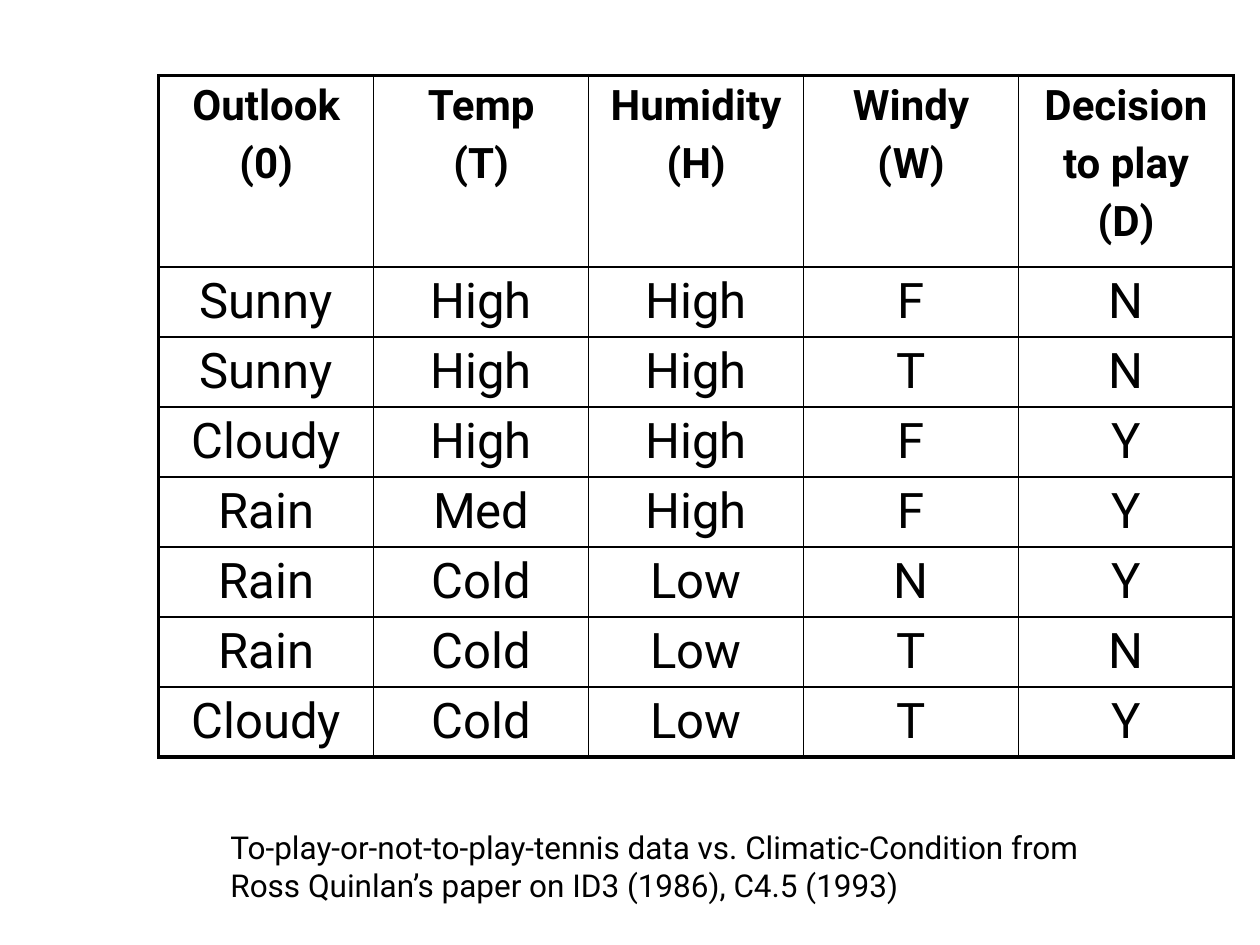
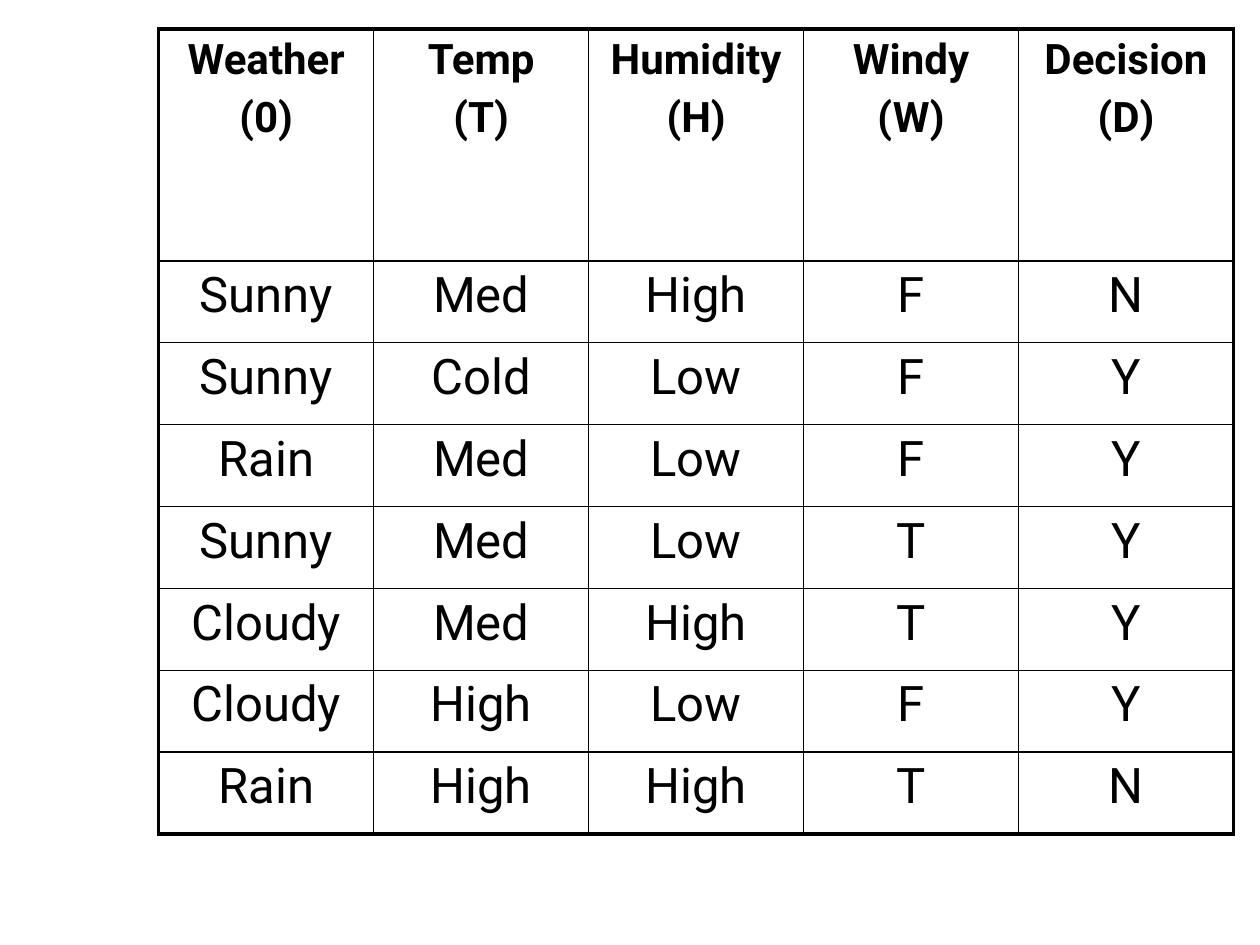
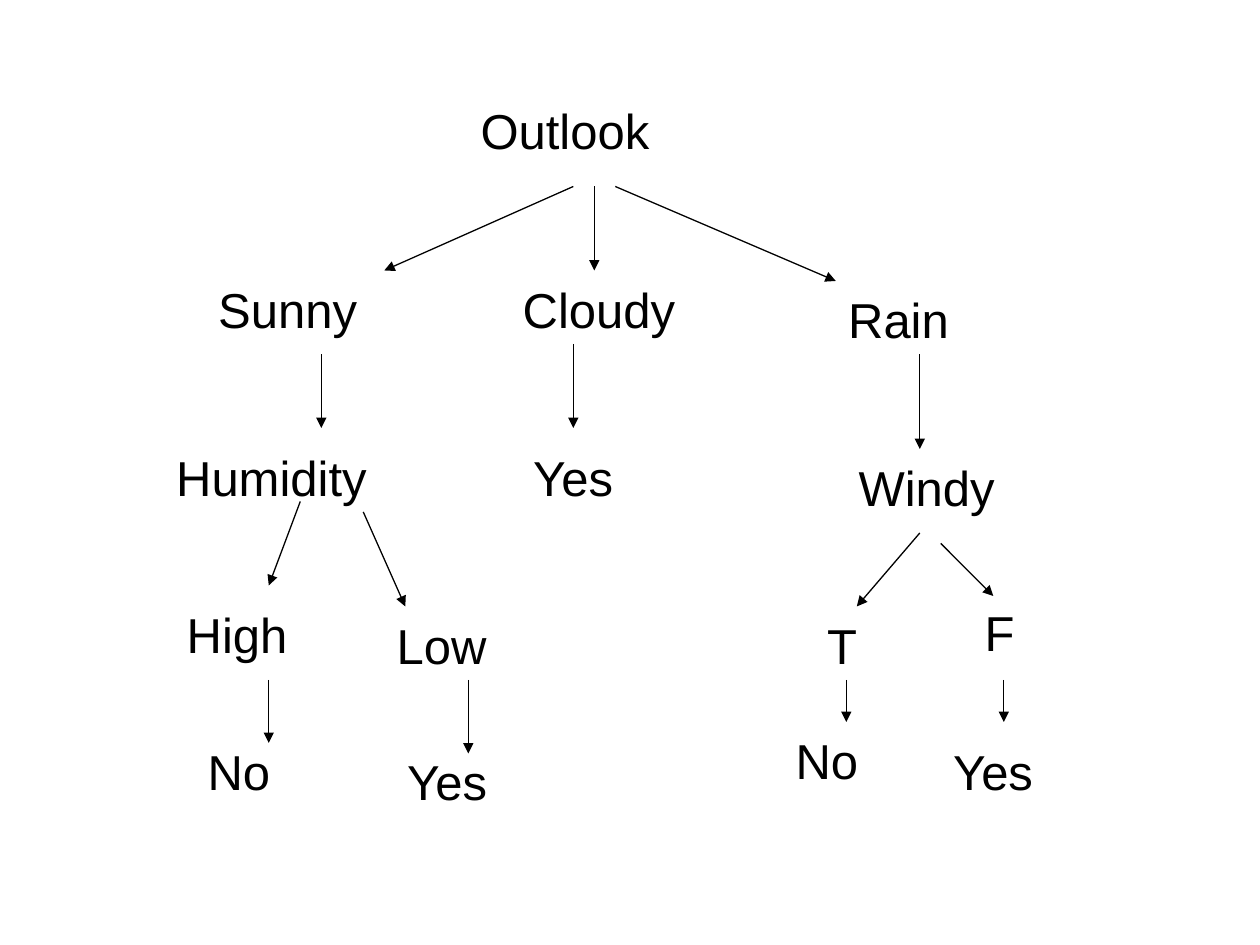
from typing import NamedTuple

from lxml import etree
from pptx import Presentation
from pptx import util as u
from pptx.dml.color import RGBColor
from pptx.enum import shapes, text
from pptx.oxml import ns

COLORS = {"ink": "000000", "paper": "FFFFFF"}
TABLE_FONT, TREE_FONT = "Roboto", "Arial"
WIDTH, HEIGHT = u.Inches(10), u.Inches(7.5)
THIN, THICK = 1, 2.25

# The decision tree stands on a grid of twelve steps to the inch.
STEP = u.Inches(1) // 12
TREE_LEFT = u.Inches(0.05)
ARROW_RISE = u.Inches(0.02)


class WeatherTable(NamedTuple):
    top: float  # inches
    header_height: float
    row_height: float
    header: list[str]
    rows: list[str]


class Node(NamedTuple):
    label: str
    col: float
    row: float
    width: float  # inches
    wrap: bool = False


class Arrow(NamedTuple):
    col: int
    row: int
    end_col: int
    end_row: int


TABLES = [
    WeatherTable(
        0.6, 1.52, 0.54,
        ["Outlook\n(0)", "Temp\n(T)", "Humidity\n(H)", "Windy\n(W)",
         "Decision\nto play\n(D)"],
        ["Sunny High High F N", "Sunny High High T N", "Cloudy High High F Y",
         "Rain Med High F Y", "Rain Cold Low N Y", "Rain Cold Low T N",
         "Cloudy Cold Low T Y"]),
    WeatherTable(
        0.23, 1.84, 0.65,
        ["Weather\n(0)", "Temp\n(T)", "Humidity\n(H)", "Windy\n(W)",
         "Decision\n(D)"],
        ["Sunny Med High F N", "Sunny Cold Low F Y", "Rain Med Low F Y",
         "Sunny Med Low T Y", "Cloudy Med High T Y", "Cloudy High Low F Y",
         "Rain High High T N"]),
]

CAPTION = ("To-play-or-not-to-play-tennis data vs. Climatic-Condition from\n"
           "Ross Quinlan’s paper on ID3 (1986), C4.5 (1993)")

NODES = [
    Node("Outlook", 44, 9, 1.54),
    Node("Rain", 79, 27, 1),
    Node("Cloudy", 48, 26, 1.41),
    Node("Sunny", 19, 26, 1.31),
    Node("Windy", 80, 43, 1.28),
    Node("Yes", 49, 42, 1.2, wrap=True),
    Node("Humidity", 15, 42, 1.72),
    Node("High", 16, 57, 1),
    Node("Low", 36, 58, 0.92),
    Node("Yes", 37, 71, 0.87),
    Node("No", 18, 70, 0.7),
    Node("T", 77, 58, 0.44),
    Node("F", 92, 56.8, 0.51, wrap=True),
    Node("Yes", 89, 70, 0.87),
    Node("No", 74, 69, 0.7),
]

ARROWS = [
    Arrow(54, 18, 36, 26), Arrow(56, 18, 56, 26), Arrow(58, 18, 79, 27),
    Arrow(30, 34, 30, 41), Arrow(54, 33, 54, 41), Arrow(87, 34, 87, 43),
    Arrow(28, 48, 25, 56), Arrow(34, 49, 38, 58),
    Arrow(25, 65, 25, 71), Arrow(44, 65, 44, 72),
    Arrow(87, 51, 81, 58), Arrow(89, 52, 94, 57),
    Arrow(80, 65, 80, 69), Arrow(95, 65, 95, 69),
]


def rgb(name: str) -> RGBColor:
    return RGBColor.from_string(COLORS[name])


def write(tf, content: str, *, font: str, size: float, bold: bool = False,
          align=None, space_before: int = 0) -> None:
    """Fill a text frame, one paragraph a line; space_before is in percent."""
    for i, line in enumerate(content.split("\n")):
        p = tf.paragraphs[0] if i == 0 else tf.add_paragraph()
        if align is not None:
            p.alignment = align
        if space_before:
            before = etree.SubElement(p._p.get_or_add_pPr(), ns.qn("a:spcBef"))
            etree.SubElement(before, ns.qn("a:spcPct"), val=str(space_before * 1000))
        r = p.add_run()
        r.text = line
        r.font.name, r.font.size, r.font.bold = font, u.Pt(size), bold
        r.font.color.rgb = rgb("ink")


def add_label(s, content: str, left: int, top: int, width: int, height: int, *,
              font: str, size: float, wrap: bool = False) -> None:
    tf = s.shapes.add_textbox(left, top, width, height).text_frame
    tf.word_wrap = wrap
    tf.auto_size = text.MSO_AUTO_SIZE.SHAPE_TO_FIT_TEXT
    write(tf, content, font=font, size=size)


def set_borders(cell, **widths: float) -> None:
    """Draw the sides L, R, T and B, in that order, with widths in points."""
    tc_pr = cell._tc.get_or_add_tcPr()
    for i, (side, width) in enumerate(widths.items()):
        ln = etree.Element(ns.qn(f"a:ln{side}"), w=str(u.Pt(width)))
        fill = etree.SubElement(ln, ns.qn("a:solidFill"))
        etree.SubElement(fill, ns.qn("a:srgbClr"), val=COLORS["ink"])
        tc_pr.insert(i, ln)


def add_weather_table(s, spec: WeatherTable) -> None:
    grid = [spec.header] + [row.split() for row in spec.rows]
    n_rows, n_cols = len(grid), len(spec.header)
    heights = [spec.header_height] + [spec.row_height] * len(spec.rows)
    table = s.shapes.add_table(
        n_rows, n_cols, int(WIDTH * 0.126), u.Inches(spec.top),
        int(WIDTH * 0.853), u.Inches(sum(heights))).table
    table.first_row = table.horz_banding = False
    for row, height in zip(table.rows, heights):
        row.height = u.Inches(height)
    for i, values in enumerate(grid):
        for j, value in enumerate(values):
            cell = table.cell(i, j)
            cell.fill.background()
            set_borders(cell,
                        L=THICK if j == 0 else THIN,
                        R=THICK if j == n_cols - 1 else THIN,
                        T=THICK if i == 0 else THIN,
                        B=THICK if i == n_rows - 1 else THIN)
            write(cell.text_frame, value, font=TABLE_FONT,
                  size=24 if i == 0 else 28, bold=i == 0,
                  align=text.PP_ALIGN.CENTER, space_before=20)


def add_node(s, node: Node) -> None:
    add_label(s, node.label, TREE_LEFT + int(node.col * STEP),
              int(node.row * STEP), u.Inches(node.width), u.Inches(0.57),
              font=TREE_FONT, size=28, wrap=node.wrap)


def add_arrow(s, arrow: Arrow) -> None:
    c = s.shapes.add_connector(
        shapes.MSO_CONNECTOR.STRAIGHT,
        TREE_LEFT + arrow.col * STEP, arrow.row * STEP - ARROW_RISE,
        TREE_LEFT + arrow.end_col * STEP, arrow.end_row * STEP - ARROW_RISE)
    c.line.color.rgb = rgb("ink")
    c.line.width = u.Pt(0.75)
    etree.SubElement(c.line._get_or_add_ln(), ns.qn("a:tailEnd"), type="triangle")
    etree.SubElement(c._element.spPr, ns.qn("a:effectLst"))


def add_slide(prs):
    s = prs.slides.add_slide(prs.slide_layouts[6])
    s.background.fill.solid()
    s.background.fill.fore_color.rgb = rgb("paper")
    return s


def main() -> None:
    prs = Presentation()
    prs.slide_width, prs.slide_height = WIDTH, HEIGHT

    data_slides = [add_slide(prs) for _ in TABLES]
    for s, spec in zip(data_slides, TABLES):
        add_weather_table(s, spec)
    add_label(data_slides[0], CAPTION, int(WIDTH * 0.173), int(HEIGHT * 0.87),
              int(WIDTH * 0.709), u.Inches(0.7), font=TABLE_FONT, size=18)

    tree = add_slide(prs)
    for node in NODES:
        add_node(tree, node)
    for arrow in ARROWS:
        add_arrow(tree, arrow)

    prs.save("out.pptx")


if __name__ == "__main__":
    main()
